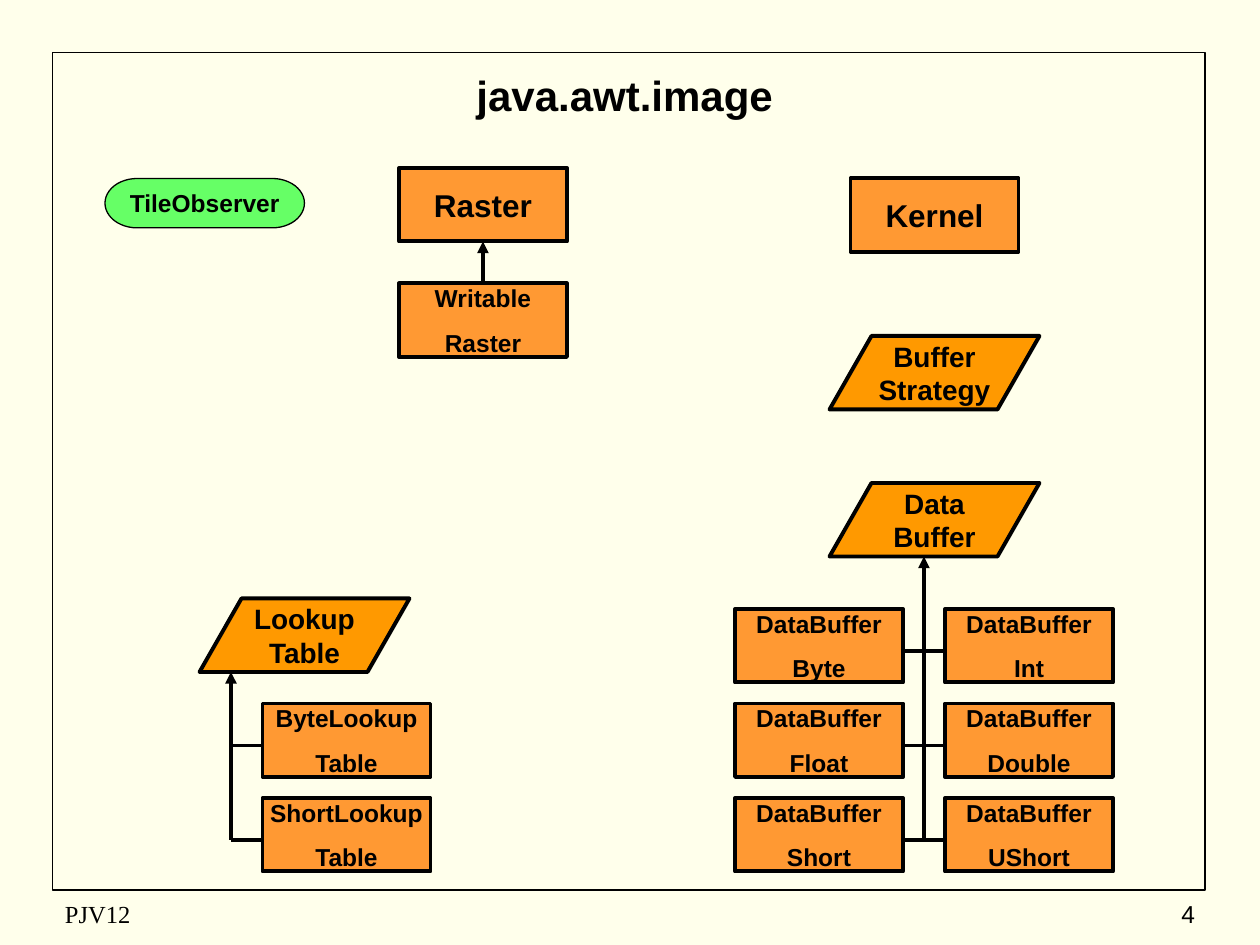
"""Class diagram of java.awt.image on a grid of 120 columns by 90 rows."""
from lxml import etree
from pptx import Presentation
from pptx.dml.color import RGBColor
from pptx.enum.shapes import MSO_CONNECTOR, MSO_SHAPE as Shape
from pptx.enum.text import MSO_ANCHOR, PP_ALIGN as Align
from pptx.oxml.ns import qn
from pptx.util import Inches, Pt

CREAM = RGBColor(0xFF, 0xFF, 0xEB)
BLACK = RGBColor(0, 0, 0)
CLASS_ORANGE = RGBColor(0xFF, 0x99, 0x33)
ABSTRACT_ORANGE = RGBColor(0xFF, 0x99, 0x00)
INTERFACE_GREEN = RGBColor(0x66, 0xFF, 0x66)

deck = Presentation()
deck.slide_width, deck.slide_height = Inches(10), Inches(7.5)
UNIT = deck.slide_width / 120
slide = deck.slides.add_slide(deck.slide_layouts[6])
slide.background.fill.solid()
slide.background.fill.fore_color.rgb = CREAM


def write(holder, words, size, bold=True, align=Align.CENTER, font="Arial", gap=0, wrap=False):
    frame = holder.text_frame
    frame.text = words
    frame.word_wrap = wrap
    frame.vertical_anchor = MSO_ANCHOR.MIDDLE
    for index, paragraph in enumerate(frame.paragraphs):
        paragraph.alignment = align
        paragraph.space_before = Pt(gap if index else 0)
        for run in paragraph.runs:
            run.font.name, run.font.size, run.font.bold = font, Pt(size), bold
            run.font.color.rgb = BLACK


def node(kind, column, row, columns, rows, fill=None, weight=2.25):
    shape = slide.shapes.add_shape(kind, *(round(n * UNIT) for n in (column, row, columns, rows)))
    shape.shadow.inherit = False
    shape.line.color.rgb = BLACK
    shape.line.width = Pt(weight)
    if fill is None:
        shape.fill.background()
    else:
        shape.fill.solid()
        shape.fill.fore_color.rgb = fill
    return shape


node(Shape.RECTANGLE, 5, 5, 109.8, 79.8, weight=1)

captions = [
    ("java.awt.image", 6, 6, 107, 6, 24, True, Align.CENTER, "Arial"),
    ("PJV12", 5, 85, 38, 4, 14, False, Align.LEFT, "Times New Roman"),
    ("4", 90, 85, 25, 4, 14, False, Align.RIGHT, "Arial"),
]
for words, column, row, columns, rows, size, bold, align, font in captions:
    caption = slide.shapes.add_textbox(*(round(n * UNIT) for n in (column, row, columns, rows)))
    write(caption, words, size, bold, align, font, wrap=True)

observer = node(Shape.FLOWCHART_TERMINATOR, 10, 17, 19, 4.7, INTERFACE_GREEN, 0.75)
write(observer, "TileObserver", 14)

for words, column, row in [("Raster", 38, 16), ("Kernel", 81, 17)]:
    write(node(Shape.RECTANGLE, column, row, 16, 7, CLASS_ORANGE), words, 18)

abstract_classes = [("Buffer\nStrategy", 79, 32), ("Data\nBuffer", 79, 46), ("Lookup\nTable", 19, 57)]
for words, column, row in abstract_classes:
    write(node(Shape.FLOWCHART_DATA, column, row, 20, 7, ABSTRACT_ORANGE), words, 16)

FIRST_ROW, ROW_STEP = 58, 9
subclasses = [
    ("Writable\nRaster", 38, 27),
    ("ByteLookup\nTable", 25, FIRST_ROW + ROW_STEP),
    ("ShortLookup\nTable", 25, FIRST_ROW + 2 * ROW_STEP),
]
for index, element in enumerate(["Byte", "Int", "Float", "Double", "Short", "UShort"]):
    level, side = divmod(index, 2)
    subclasses.append((f"DataBuffer\n{element}", 70 + 20 * side, FIRST_ROW + level * ROW_STEP))
for words, column, row in subclasses:
    write(node(Shape.RECTANGLE, column, row, 16, 7, CLASS_ORANGE), words, 14, gap=8.8)

branch_rows = [FIRST_ROW + 4 + level * ROW_STEP for level in range(3)]
inheritance = [(46, 27, 46, 23, True), (88, 80, 88, 53, True), (22, 80, 22, 64, True)]
inheritance += [(86, row, 90, row, False) for row in branch_rows]
inheritance += [(22, row, 25, row, False) for row in branch_rows[1:]]
for *ends, has_arrow in inheritance:
    link = slide.shapes.add_connector(MSO_CONNECTOR.STRAIGHT, *(round(n * UNIT) for n in ends))
    link.line.color.rgb = BLACK
    link.line.width = Pt(2.25)
    if has_arrow:
        etree.SubElement(link.line._get_or_add_ln(), qn("a:tailEnd"), type="triangle")
    etree.SubElement(link._element.spPr, qn("a:effectLst"))

deck.save("out.pptx")
